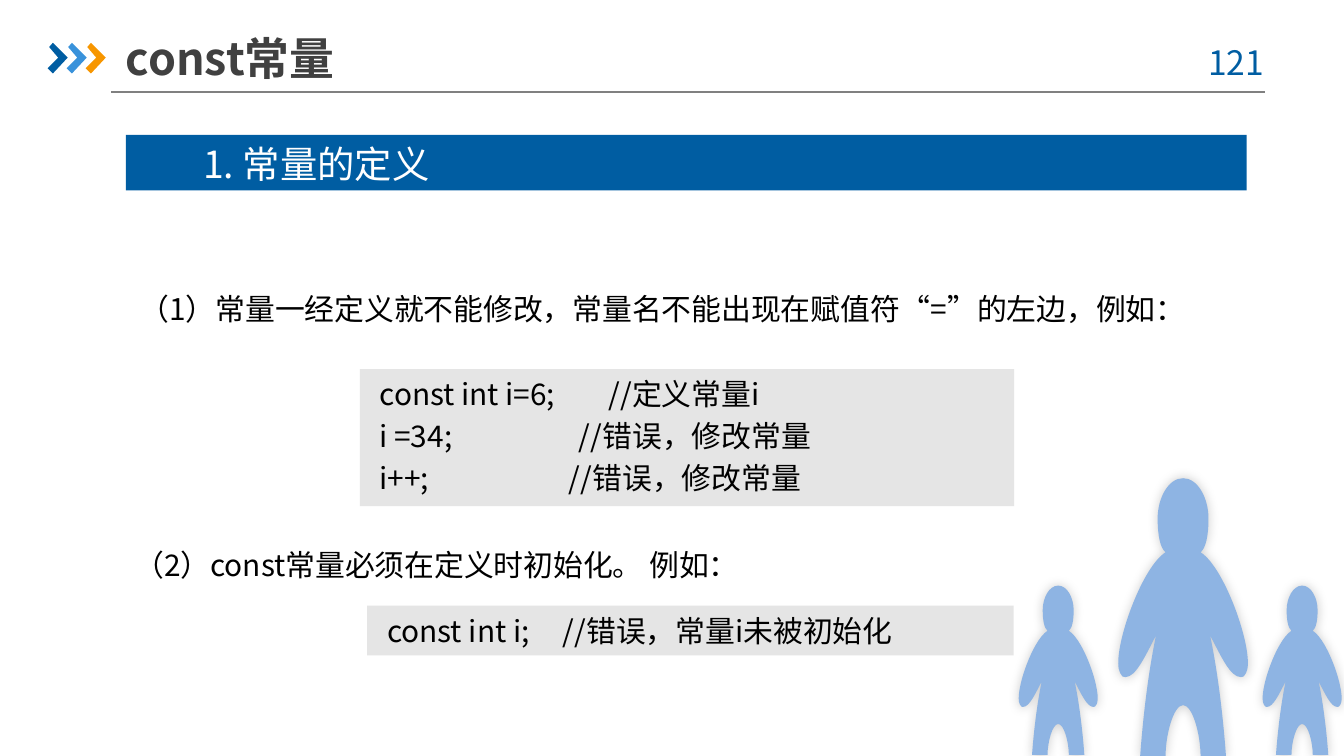
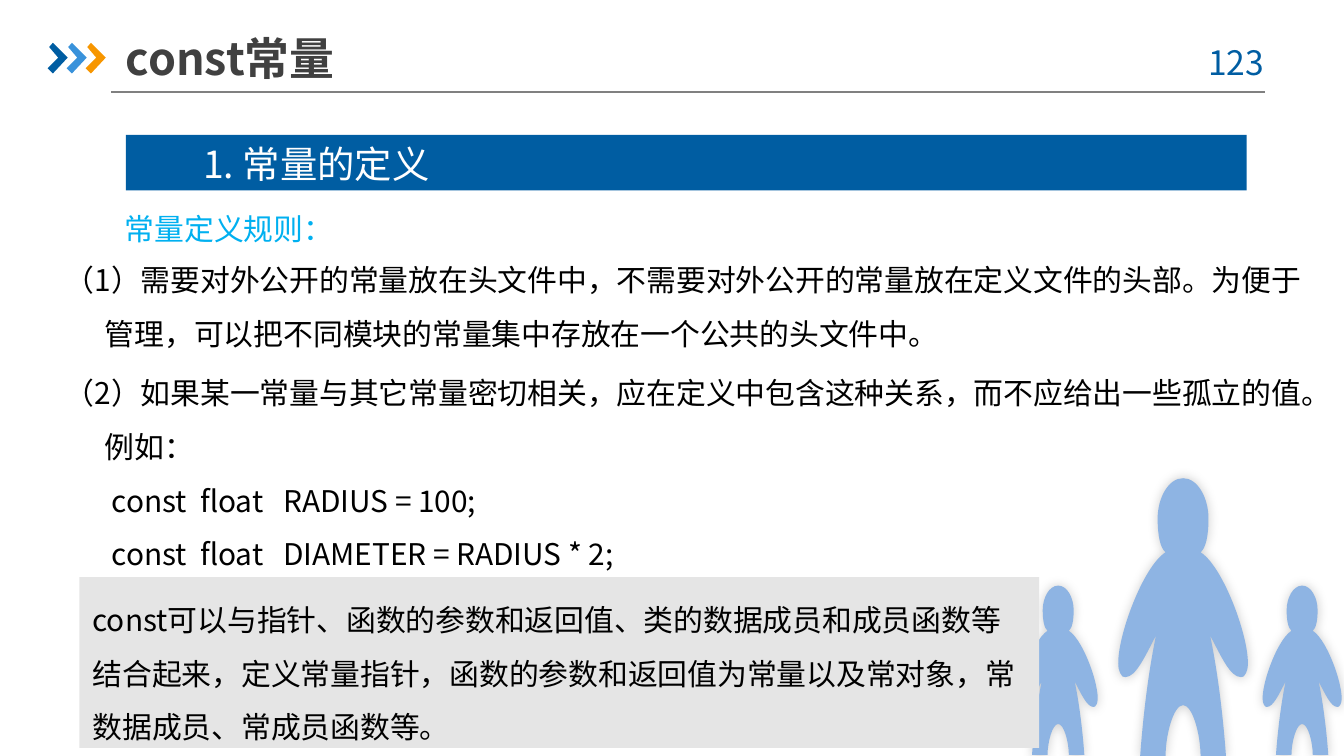
import copy
import dataclasses

import lxml.etree
import pptx
import pptx.dml.color
import pptx.enum.shapes
import pptx.enum.text
import pptx.oxml
import pptx.oxml.ns
import pptx.util

Cm = pptx.util.Cm
Pt = pptx.util.Pt
qn = pptx.oxml.ns.qn
RGB = pptx.dml.color.RGBColor.from_string
PP_ALIGN = pptx.enum.text.PP_ALIGN
MSO_ANCHOR = pptx.enum.text.MSO_ANCHOR


@dataclasses.dataclass(frozen=True)
class Theme:
    font: str = "Noto Sans CJK SC"
    blue: str = "005DA2"
    light_blue: str = "3992DB"
    orange: str = "F79600"
    figure: str = "8EB4E3"
    panel: str = "E5E5E5"
    rule: str = "808080"
    title: str = "404040"
    text: str = "000000"
    highlight: str = "00B0F0"
    white: str = "FFFFFF"
    title_size: int = 24
    heading_size: int = 20
    number_size: int = 18
    text_size: int = 16


theme = Theme()


def write_text(shape, text, size=theme.text_size, color=theme.text, bold=False,
               align=PP_ALIGN.LEFT, line_spacing=None):
    """Fill a shape with text; new lines start paragraphs, \\v breaks a line."""
    frame = shape.text_frame
    frame.text = text
    frame.word_wrap = True
    frame.auto_size = pptx.enum.text.MSO_AUTO_SIZE.SHAPE_TO_FIT_TEXT
    frame.vertical_anchor = MSO_ANCHOR.TOP
    for index, paragraph in enumerate(frame.paragraphs):
        paragraph.alignment = align
        paragraph.space_before = Pt(0.2 * size if index else 0)
        if line_spacing:
            paragraph.line_spacing = line_spacing
        for run in paragraph.runs:
            run.font.name = theme.font
            run.font.size = Pt(size)
            run.font.bold = bold
            run.font.color.rgb = RGB(color)
            properties = run.font._element
            lxml.etree.SubElement(properties, qn("a:ea"), typeface=theme.font)
            for line_break in paragraph._p.findall(qn("a:br")):
                if line_break.find(qn("a:rPr")) is None:
                    line_break.append(copy.deepcopy(properties))


def add_box(slide, left, top, width, height, fill=None):
    """Add a text box, or a plain rectangle when a fill is given."""
    bounds = Cm(left), Cm(top), Cm(width), Cm(height)
    if fill is None:
        return slide.shapes.add_textbox(*bounds)
    shape = slide.shapes.add_shape(pptx.enum.shapes.MSO_SHAPE.RECTANGLE, *bounds)
    shape.shadow.inherit = False
    shape.fill.solid()
    shape.fill.fore_color.rgb = RGB(fill)
    shape.line.fill.background()
    return shape


# Chevron outline, in cm from its top left corner
chevron = [(0.03, 0.08), (0.1, 0), (0.38, 0.28), (0.1, 0.58), (0, 0.48), (0.2, 0.28)]

# Left half of a standing figure, in cm from the top of the head:
# cubic curves, each with two control points and an end
half_curves = [
    [(-0.28, 0), (-0.48, 0.38), (-0.48, 0.76)],
    [(-0.48, 1.09), (-0.43, 1.32), (-0.33, 1.4)],
    [(-0.81, 1.7), (-1.37, 3.35), (-1.19, 3.68)],
    [(-1.14, 3.76), (-1.14, 3.76), (-1.09, 3.76)],
    [(-0.89, 3.76), (-0.71, 3.35), (-0.51, 2.97)],
    [(-0.66, 3.68), (-0.76, 4.55), (-0.81, 5.25)],
    [(-0.81, 5.25), (-0.33, 5.25), (-0.33, 5.25)],
    [(-0.33, 4.85), (-0.18, 4.29), (0, 4.29)],
]
# The right half runs back up along the mirrored points
half_points = [(0, 0)] + [point for curve in half_curves for point in curve]
mirrored = [(-x, y) for x, y in reversed(half_points[:-1])]
figure_curves = half_curves + [mirrored[i:i + 3] for i in range(0, len(mirrored), 3)]
figures = [(24.61, 11.07, 0.61), (20, 11.07, 0.61), (22.36, 9.04, 1)]  # centre, top, scale

presentation = pptx.Presentation()
presentation.slide_width = Cm(25.4)
presentation.slide_height = Cm(14.29)
TITLE_AND_CONTENT, TITLE_ONLY = 1, 5

# Parts shared by both slides
slides = []
for number, layout in [("121", TITLE_ONLY), ("123", TITLE_AND_CONTENT)]:
    slide = presentation.slides.add_slide(presentation.slide_layouts[layout])
    slides.append(slide)

    # Title, rule and page number
    title = slide.shapes.title
    title.left, title.top, title.width, title.height = Cm(2.38), Cm(0.56), Cm(11.91), Cm(1.07)
    write_text(title, "const常量", theme.title_size, theme.title, bold=True)
    title.text_frame.auto_size = pptx.enum.text.MSO_AUTO_SIZE.NONE
    title.text_frame.vertical_anchor = MSO_ANCHOR.MIDDLE
    title.text_frame.margin_left = title.text_frame.margin_right = 0

    rule = slide.shapes.add_connector(
        pptx.enum.shapes.MSO_CONNECTOR.STRAIGHT, Cm(2.1), Cm(1.74), Cm(23.9), Cm(1.74))
    rule.line.color.rgb = RGB(theme.rule)
    rule.line.width = Pt(0.75)
    lxml.etree.SubElement(rule._element.spPr, qn("a:effectLst"))

    write_text(add_box(slide, 22.44, 0.66, 1.85, 1.02), number,
               theme.number_size, theme.blue, align=PP_ALIGN.CENTER)

    # Chevrons
    chevrons = slide.shapes.add_group_shape()
    for index, color in enumerate([theme.blue, theme.light_blue, theme.orange]):
        points = [(Cm(0.9 + 0.36 * index + x), Cm(0.81 + y)) for x, y in chevron]
        builder = chevrons.shapes.build_freeform(*points[0])
        builder.add_line_segments(points[1:], close=True)
        shape = builder.convert_to_shape()
        shape.shadow.inherit = False
        shape.fill.solid()
        shape.fill.fore_color.rgb = RGB(color)
        shape.line.fill.background()

    # Family of three figures: straight segments first, then bent into curves
    builder = None
    family_curves = []
    for centre, top, scale in figures:
        curves = [[(Cm(centre + scale * x), Cm(top + scale * y)) for x, y in curve]
                  for curve in figure_curves]
        family_curves += curves
        start = curves[-1][-1]
        if builder is None:
            builder = slide.shapes.build_freeform(*start)
        else:
            builder.move_to(*start)
        builder.add_line_segments([curve[-1] for curve in curves], close=False)
    family = builder.convert_to_shape()
    segments = list(family._element.spPr.iter(qn("a:lnTo")))
    for segment, curve in zip(segments, family_curves):
        bend = lxml.etree.Element(qn("a:cubicBezTo"))
        for x, y in curve:
            lxml.etree.SubElement(bend, qn("a:pt"), x=str(x - family.left), y=str(y - family.top))
        segment.getparent().replace(segment, bend)
    family.fill.solid()
    family.fill.fore_color.rgb = RGB(theme.figure)
    family.line.fill.background()

    # Soft shadow of the family
    family.shadow.inherit = False
    effects = family._element.spPr.find(qn("a:effectLst"))
    shadow = lxml.etree.SubElement(effects, qn("a:outerShdw"), blurRad=str(Pt(6)),
                                   dist="0", dir="18900000", algn="ctr", rotWithShape="0")
    shadow_color = lxml.etree.SubElement(shadow, qn("a:srgbClr"), val="000000")
    lxml.etree.SubElement(shadow_color, qn("a:alpha"), val="20000")

    # Section band
    add_box(slide, 2.38, 2.55, 21.18, 1.05, theme.blue)
    write_text(add_box(slide, 3.59, 2.54, 5.05, 1.12), "1. 常量的定义",
               theme.heading_size, theme.white)

definition_slide, rules_slide = slides

# Definition slide: two points, each with a code panel
write_text(add_box(definition_slide, 2.39, 5.37, 21.51, 0.94),
           "（1）常量一经定义就不能修改，常量名不能出现在赋值符“=”的左边，例如：")
write_text(add_box(definition_slide, 6.8, 6.98, 12.37, 2.59, theme.panel),
           " const int i=6;        //定义常量i\n"
           " i =34;                   //错误，修改常量\n"
           " i++;                     //错误，修改常量")
write_text(add_box(definition_slide, 2.29, 10.21, 12.55, 0.94),
           "（2）const常量必须在定义时初始化。 例如：")
write_text(add_box(definition_slide, 6.94, 11.45, 12.22, 0.94, theme.panel),
           " const int i;     //错误，常量i未被初始化")

# Rules slide: numbered rules with a hanging indent
rules = rules_slide.placeholders[1]
rules.left, rules.top, rules.width, rules.height = Cm(0.97), Cm(4.48), Cm(24.01), Cm(6.43)
write_text(
    rules,
    "（1）需要对外公开的常量放在头文件中，不需要对外公开的常量放在定义文件的头部。"
    "为便于管理，可以把不同模块的常量集中存放在一个公共的头文件中。\n"
    "（2）如果某一常量与其它常量密切相关，应在定义中包含这种关系，而不应给出一些孤立的值。例如：\v"
    " const  float   RADIUS = 100;\v"
    " const  float   DIAMETER = RADIUS * 2;",
    line_spacing=1.5)
for paragraph in rules.text_frame.paragraphs:
    properties = paragraph._p.get_or_add_pPr()
    properties.set("marL", str(Cm(0.76)))
    properties.set("indent", str(-Cm(0.76)))
    lxml.etree.SubElement(properties, qn("a:buNone"))

write_text(add_box(rules_slide, 2.11, 3.86, 19.08, 0.94), "常量定义规则：", color=theme.highlight)
write_text(add_box(rules_slide, 1.5, 10.91, 18.14, 3.23, theme.panel),
           "const可以与指针、函数的参数和返回值、类的数据成员和成员函数等结合起来，"
           "定义常量指针，函数的参数和返回值为常量以及常对象，常数据成员、常成员函数等。",
           line_spacing=1.5)

presentation.save("out.pptx")
